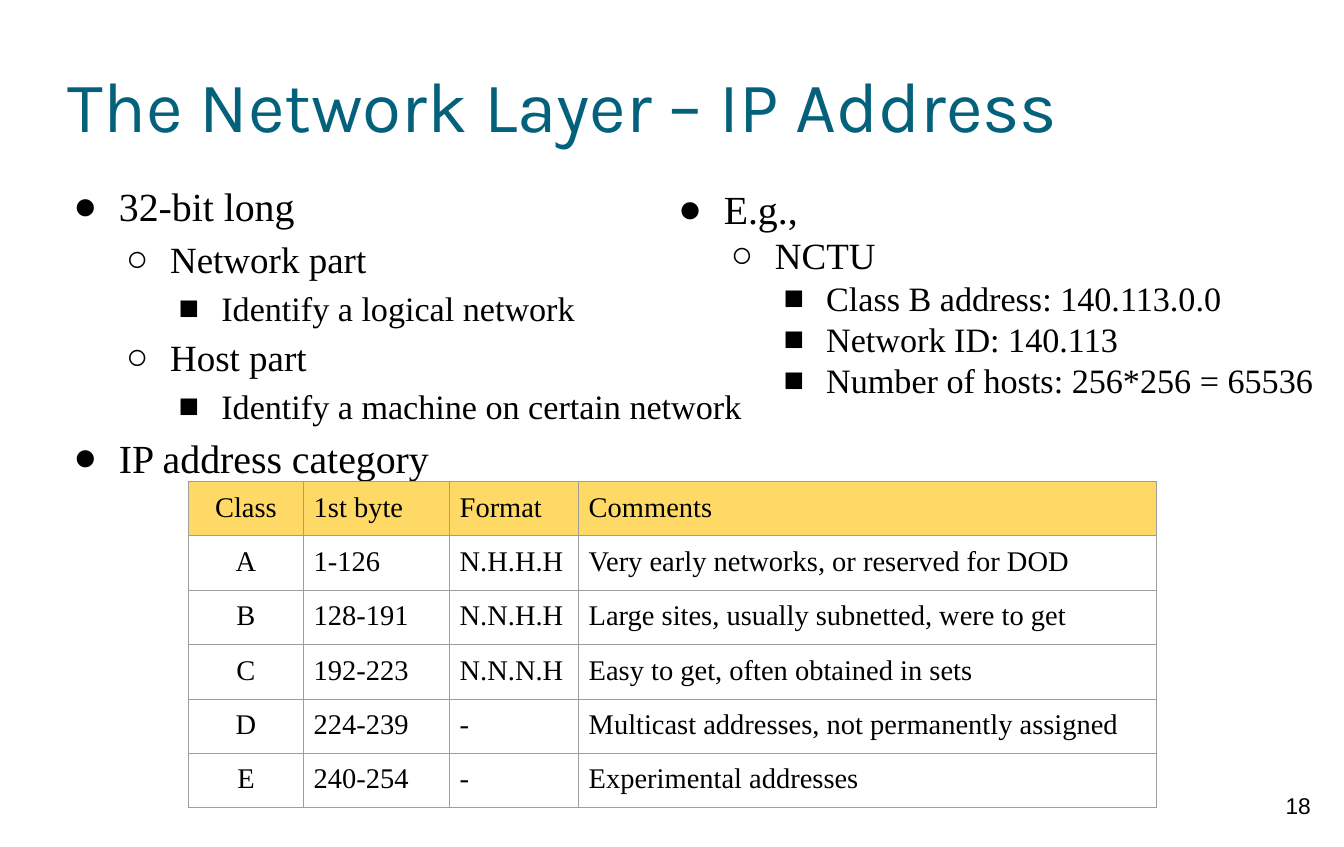
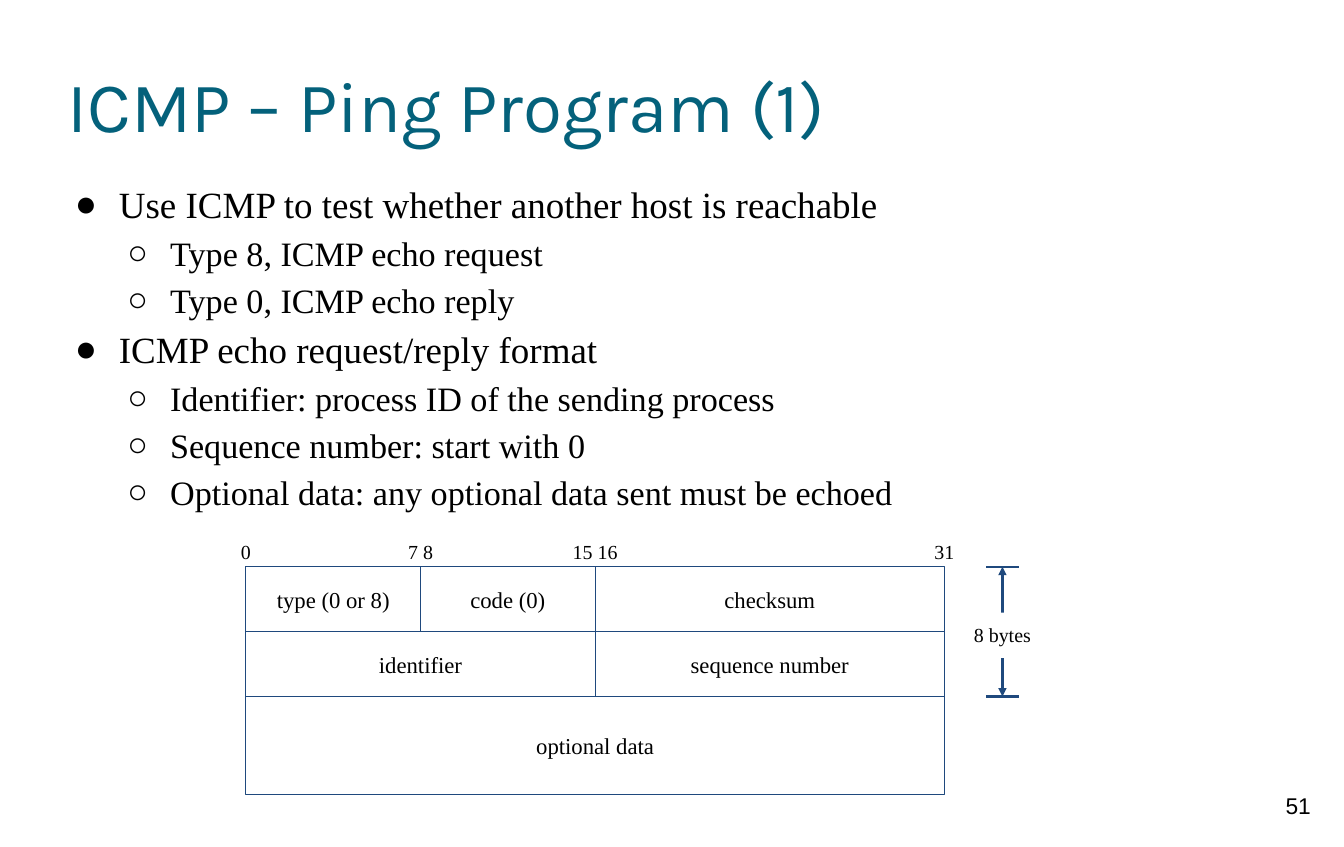
from dataclasses import dataclass

from lxml import etree
from pptx import Presentation
from pptx.dml.color import RGBColor
from pptx.enum.shapes import MSO_CONNECTOR, MSO_SHAPE
from pptx.enum.text import MSO_ANCHOR, PP_ALIGN
from pptx.oxml.ns import qn
from pptx.util import Cm, Pt

RECT = MSO_SHAPE.RECTANGLE
STRAIGHT = MSO_CONNECTOR.STRAIGHT
LEFT, CENTER = PP_ALIGN.LEFT, PP_ALIGN.CENTER
TOP, MIDDLE = MSO_ANCHOR.TOP, MSO_ANCHOR.MIDDLE

COLORS = {
    "text": "000000",
    "title": "04617B",
    "header": "FFD966",
    "grid": "9E9E9E",
    "packet": "1F497D",
    "white": "FFFFFF",
}
SERIF, TITLE_FONT, NUMBER_FONT = "Times New Roman", "Karla", "Arial"
BULLETS = "●○■"
INDENT = 1.27
PADDING = 0.25
BLANK_LAYOUT = 6


@dataclass
class Item:
    text: str
    level: int = 0


@dataclass
class Field:
    """A packet field covering bits first..end of one row."""
    text: str
    row: int
    first: int
    end: int


@dataclass
class BitLabel:
    text: str
    bit: int


ADDRESS_ITEMS = [
    Item("32-bit long"),
    Item("Network part", 1),
    Item("Identify a logical network", 2),
    Item("Host part", 1),
    Item("Identify a machine on certain network", 2),
    Item("IP address category"),
]
EXAMPLE_ITEMS = [
    Item("E.g.,"),
    Item("NCTU", 1),
    Item("Class B address: 140.113.0.0", 2),
    Item("Network ID: 140.113", 2),
    Item("Number of hosts: 256*256 = 65536", 2),
]
PING_ITEMS = [
    Item("Use ICMP to test whether another host is reachable"),
    Item("Type 8, ICMP echo request", 1),
    Item("Type 0, ICMP echo reply", 1),
    Item("ICMP echo request/reply format"),
    Item("Identifier: process ID of the sending process", 1),
    Item("Sequence number: start with 0", 1),
    Item("Optional data: any optional data sent must be echoed", 1),
]

CLASS_COLUMNS = [2.86, 3.62, 3.2, 14.32]
CLASS_ROW_HEIGHT = 1.29
CLASS_ROWS = [
    ("Class", "1st byte", "Format", "Comments"),
    ("A", "1-126", "N.H.H.H", "Very early networks, or reserved for DOD"),
    ("B", "128-191", "N.N.H.H", "Large sites, usually subnetted, were to get"),
    ("C", "192-223", "N.N.N.H", "Easy to get, often obtained in sets"),
    ("D", "224-239", "-", "Multicast addresses, not permanently assigned"),
    ("E", "240-254", "-", "Experimental addresses"),
]

PACKET_LEFT, PACKET_TOP, PACKET_WIDTH = 6.1, 14.05, 17.32
PACKET_ROWS = [1.61, 1.61, 2.44]
FIELDS = [
    Field("type (0 or 8)", 0, 0, 8),
    Field("code (0)", 0, 8, 16),
    Field("checksum", 0, 16, 32),
    Field("identifier", 1, 0, 16),
    Field("sequence number", 1, 16, 32),
    Field("optional data", 2, 0, 32),
]
BIT_LABELS = [BitLabel("0", 0), BitLabel("7 8", 8),
              BitLabel("15 16", 16), BitLabel("31", 32)]


def rgb(name: str) -> RGBColor:
    return RGBColor.from_string(COLORS[name])


def write(p, text: str, *, size: float, font: str = SERIF,
          color: str = "text", align=LEFT) -> None:
    p.alignment = align
    r = p.add_run()
    r.text = text
    r.font.size, r.font.name = Pt(size), font
    r.font.color.rgb = rgb(color)


def prepare_frame(sp, padding: float = PADDING, anchor=TOP):
    tf = sp.text_frame
    tf.word_wrap = True
    tf.vertical_anchor = anchor
    tf.margin_left = tf.margin_right = Cm(padding)
    tf.margin_top = tf.margin_bottom = Cm(padding)
    return tf


def add_text(slide, text: str, left: float, top: float, width: float,
             height: float, padding: float = PADDING, anchor=TOP, **style):
    sp = slide.shapes.add_textbox(Cm(left), Cm(top), Cm(width), Cm(height))
    write(prepare_frame(sp, padding, anchor).paragraphs[0], text, **style)
    return sp


def add_bullet(p, level: int, size: float) -> None:
    p.level = level
    pPr = p._p.get_or_add_pPr()
    pPr.set("marL", str(Cm(INDENT * (level + 1))))
    pPr.set("indent", str(-Pt(18 + size / 2)))
    color = etree.SubElement(pPr, qn("a:buClr"))
    etree.SubElement(color, qn("a:srgbClr"), val=COLORS["text"])
    etree.SubElement(pPr, qn("a:buFont"), typeface=SERIF)
    etree.SubElement(pPr, qn("a:buChar"), char=BULLETS[level])


def add_outline(slide, items: list[Item], left: float, top: float,
                width: float, height: float, *, top_size: int,
                spacing: float, padding: float) -> None:
    """Add a bulleted list whose size falls 2 pt with each level."""
    sp = slide.shapes.add_textbox(Cm(left), Cm(top), Cm(width), Cm(height))
    tf = prepare_frame(sp, padding)
    for i, item in enumerate(items):
        p = tf.add_paragraph() if i else tf.paragraphs[0]
        size = top_size - 2 * item.level
        add_bullet(p, item.level, size)
        p.line_spacing = spacing
        write(p, item.text, size=size)


def add_line(slide, x1: float, y1: float, x2: float, y2: float,
             arrows: bool = False) -> None:
    line = slide.shapes.add_connector(STRAIGHT, Cm(x1), Cm(y1), Cm(x2), Cm(y2))
    line.line.color.rgb = rgb("packet")
    line.line.width = Pt(1.5)
    if arrows:
        ln = line.line._get_or_add_ln()
        for end in ("a:headEnd", "a:tailEnd"):
            etree.SubElement(ln, qn(end), type="triangle")
    etree.SubElement(line._element.spPr, qn("a:effectLst"))


def set_borders(cell) -> None:
    tcPr = cell._tc.get_or_add_tcPr()
    for i, side in enumerate(("a:lnL", "a:lnR", "a:lnT", "a:lnB")):
        ln = etree.Element(qn(side), w=str(Pt(0.75)))
        fill = etree.SubElement(ln, qn("a:solidFill"))
        etree.SubElement(fill, qn("a:srgbClr"), val=COLORS["grid"])
        tcPr.insert(i, ln)


def add_class_table(slide, left: float, top: float) -> None:
    table = slide.shapes.add_table(
        len(CLASS_ROWS), len(CLASS_COLUMNS), Cm(left), Cm(top),
        Cm(sum(CLASS_COLUMNS)), Cm(CLASS_ROW_HEIGHT * len(CLASS_ROWS))).table
    table.first_row = table.horz_banding = False
    for column, width in zip(table.columns, CLASS_COLUMNS):
        column.width = Cm(width)
    for i, values in enumerate(CLASS_ROWS):
        table.rows[i].height = Cm(CLASS_ROW_HEIGHT)
        for j, value in enumerate(values):
            cell = table.cell(i, j)
            cell.margin_left = cell.margin_right = Cm(PADDING)
            cell.margin_top = cell.margin_bottom = Cm(PADDING)
            if i == 0:
                cell.fill.solid()
                cell.fill.fore_color.rgb = rgb("header")
            else:
                cell.fill.background()
            set_borders(cell)
            write(cell.text_frame.paragraphs[0], value, size=20,
                  align=LEFT if j else CENTER)


def bit_x(bit: int) -> float:
    return PACKET_LEFT + PACKET_WIDTH * bit / 32


def row_y(row: int) -> float:
    return PACKET_TOP + sum(PACKET_ROWS[:row])


def add_packet(slide) -> None:
    for field in FIELDS:
        left = bit_x(field.first)
        sp = slide.shapes.add_shape(
            RECT, Cm(left), Cm(row_y(field.row)),
            Cm(bit_x(field.end) - left), Cm(PACKET_ROWS[field.row]))
        sp.shadow.inherit = False
        sp.fill.background()
        sp.line.color.rgb = rgb("packet")
        sp.line.width = Pt(0.75)
        write(prepare_frame(sp, anchor=MIDDLE).paragraphs[0], field.text,
              size=16, align=CENTER)
    width = 1.68
    for label in BIT_LABELS:
        add_text(slide, label.text, bit_x(label.bit) - width / 2, 13.13,
                 width, 1.12, size=14, align=CENTER)


def add_header_measure(slide, x: float) -> None:
    """Mark the height of the two header rows with a labelled arrow."""
    top, bottom = row_y(0), row_y(2)
    for y in (top, bottom):
        add_line(slide, x - 0.4, y, x + 0.4, y)
    add_line(slide, x, top, x, bottom, arrows=True)
    label = add_text(slide, "8 bytes", x - 1.12, 15.19, 2.24, 1.12,
                     size=14, align=CENTER)
    label.fill.solid()
    label.fill.fore_color.rgb = rgb("white")


def add_slide(prs, title: str, number: int):
    slide = prs.slides.add_slide(prs.slide_layouts[BLANK_LAYOUT])
    add_text(slide, str(number), 31.19, 19.38, 2.01, 1.6,
             size=16, font=NUMBER_FONT, align=CENTER)
    add_text(slide, title, 1.68, 0.84, 30, 3.5, padding=0, anchor=MIDDLE,
             size=50, font=TITLE_FONT, color="title")
    return slide


def build_address_slide(prs) -> None:
    slide = add_slide(prs, "The Network Layer – IP Address", 18)
    add_outline(slide, ADDRESS_ITEMS, 1.68, 4.34, 17.45, 7.6,
                top_size=28, spacing=1.15, padding=0)
    add_outline(slide, EXAMPLE_ITEMS, 16.43, 4.34, 16.5, 8.33,
                top_size=28, spacing=1.0, padding=PADDING)
    add_class_table(slide, 4.67, 11.94)


def build_ping_slide(prs) -> None:
    slide = add_slide(prs, "ICMP – Ping Program (1)", 51)
    add_outline(slide, PING_ITEMS, 1.68, 4.34, 30.07, 15.72,
                top_size=26, spacing=1.15, padding=0)
    add_packet(slide)
    add_header_measure(slide, 24.86)


def main() -> None:
    prs = Presentation()
    prs.slide_width, prs.slide_height = Cm(33.33), Cm(21)
    build_address_slide(prs)
    build_ping_slide(prs)
    prs.save("out.pptx")


if __name__ == "__main__":
    main()
